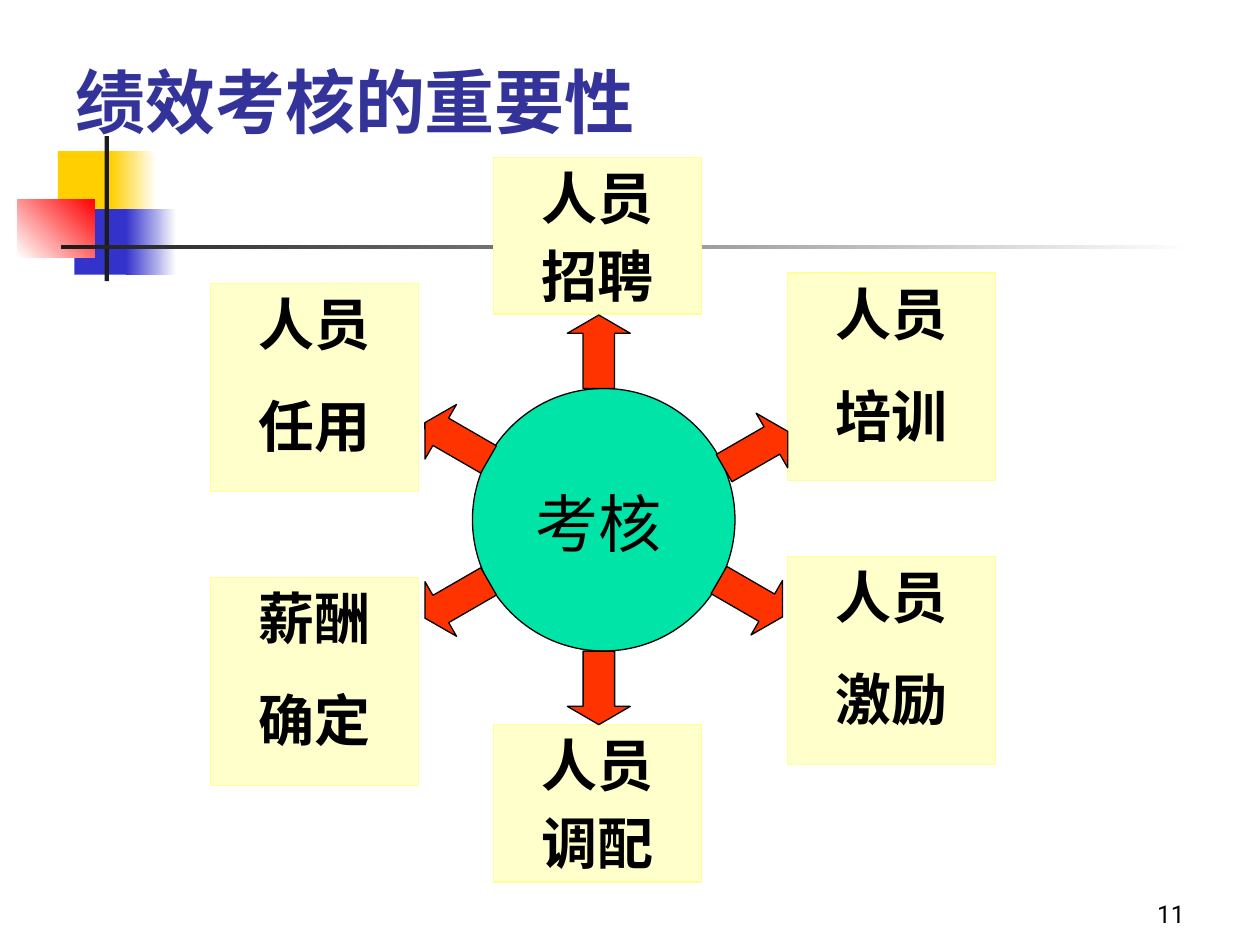
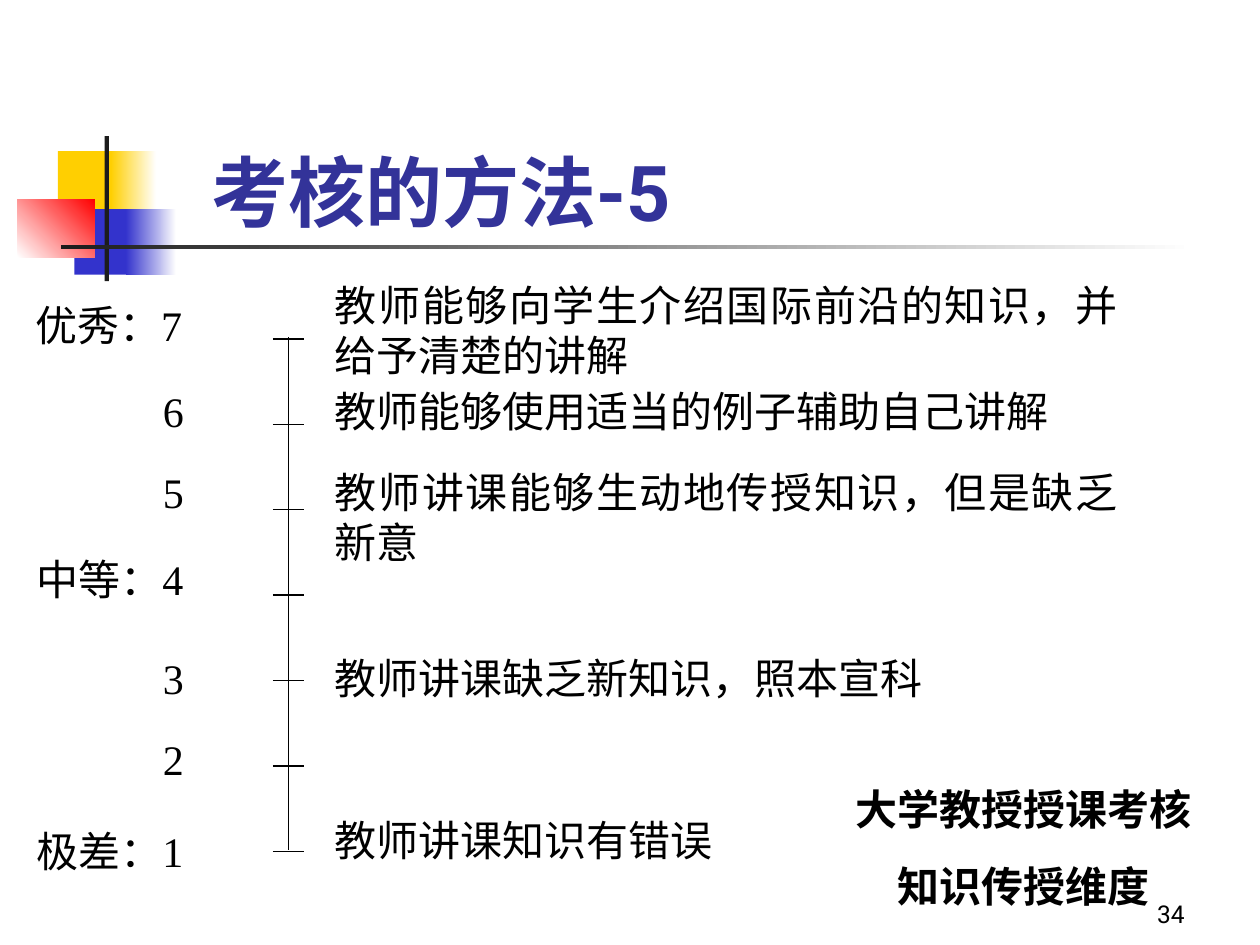
from lxml import etree
from pptx import Presentation
from pptx.dml.color import RGBColor
from pptx.enum import shapes, text
from pptx.oxml import ns
from pptx.util import Pt

WHITE = RGBColor(0xFF, 0xFF, 0xFF)
BLACK = RGBColor(0x00, 0x00, 0x00)
CHARCOAL = RGBColor(0x1C, 0x1C, 0x1C)
YELLOW = RGBColor(0xFF, 0xCF, 0x01)
BLUE = RGBColor(0x33, 0x33, 0xCC)
RED = RGBColor(0xFF, 0x00, 0x00)
TITLE_BLUE = RGBColor(0x33, 0x33, 0x99)
CREAM = RGBColor(0xFF, 0xFF, 0xCC)
CREAM_EDGE = RGBColor(0xFF, 0xFF, 0x99)
ARROW_RED = RGBColor(0xFF, 0x33, 0x00)
GREEN = RGBColor(0x00, 0xE4, 0xA8)

SERIF = "Times New Roman"
SANS = "Roboto"
LINE_WIDTH = 0.75

SHAPE = shapes.MSO_SHAPE
ALIGN = text.PP_ALIGN
ANCHOR = text.MSO_ANCHOR

MASTER_BLOCKS = [
    (33.1, 86.4, 34.6, 37.4, YELLOW, None, 0),
    (63.4, 86.4, 25.9, 37.4, YELLOW, WHITE, 0),
    (42.5, 119.5, 33.1, 37.4, BLUE, None, 0),
    (72, 119.5, 28.8, 37.4, BLUE, WHITE, 0),
    (10, 113.8, 44.2, 33.1, WHITE, RED, 45),
    (59.8, 77.8, 2.5, 82.8, CHARCOAL, None, 0),
    (34.6, 140, 648, 2.5, CHARCOAL, WHITE, 0),
]

TOPICS = [
    (["人员", "任用"], 120.2, 162, 118.8, 20),
    (["人员", "培训"], 450, 156, 118.8, 20),
    (["薪酬", "确定"], 120.2, 330, 118.8, 20),
    (["人员", "激励"], 450, 318, 118.8, 20),
    (["人员", "调配"], 282, 414, 90, 6),
    (["人员", "招聘"], 282, 90, 89.5, 6),
]

ARROWS = [
    (411, 239, 330),
    (408, 324, 30),
    (240, 324.7, 150),
    (240, 234, 210),
    (321.2, 375.1, 90),
    (321.2, 183, 270),
]

GRADES = [
    ("优秀：7", 13, 167.8),
    ("6", 86, 216.7),
    ("5", 86, 262.8),
    ("中等：4", 13.7, 312.5),
    ("3", 86, 369.4),
    ("2", 86, 415.4),
    ("极差：1", 13.7, 468),
]

DESCRIPTIONS = [
    ("教师能够向学生介绍国际前沿的知识，并给予清楚的讲解", 156.2),
    ("教师能够使用适当的例子辅助自己讲解", 216.7),
    ("教师讲课能够生动地传授知识，但是缺乏新意", 262.8),
    ("教师讲课缺乏新知识，照本宣科", 369.4),
    ("教师讲课知识有错误", 462.2),
]


def write(shape, lines, size, font=SERIF, color=BLACK, bold=False,
          align=ALIGN.LEFT, anchor=ANCHOR.TOP, gap=0):
    frame = shape.text_frame
    frame.word_wrap = True
    frame.vertical_anchor = anchor
    frame.text = "\n".join(lines)
    for index, para in enumerate(frame.paragraphs):
        para.alignment = align
        para.space_before = Pt(gap if index else 0)
        for span in para.runs:
            span.font.name = font
            span.font.size = Pt(size)
            span.font.bold = bold
            span.font.color.rgb = color


def add_text(page, lines, left, top, width, height, size, **style):
    box = page.shapes.add_textbox(Pt(left), Pt(top), Pt(width), Pt(height))
    write(box, lines, size, **style)


def add_block(page, kind, left, top, width, height, fill, edge=None):
    block = page.shapes.add_shape(kind, Pt(left), Pt(top), Pt(width), Pt(height))
    block.shadow.inherit = False
    block.fill.solid()
    block.fill.fore_color.rgb = fill
    if edge is None:
        block.line.fill.background()
    else:
        block.line.color.rgb = edge
        block.line.width = Pt(LINE_WIDTH)
    return block


def fade(block, start, end, angle):
    block.fill.gradient()
    block.fill.gradient_angle = angle
    for stop, color in zip(block.fill.gradient_stops, (start, end)):
        stop.color.rgb = color


def add_line(page, x1, y1, x2, y2):
    line = page.shapes.add_connector(
        shapes.MSO_CONNECTOR.STRAIGHT, Pt(x1), Pt(y1), Pt(x2), Pt(y2))
    line.line.color.rgb = BLACK
    line.line.width = Pt(LINE_WIDTH)
    etree.SubElement(line._element.spPr, ns.qn("a:effectLst"))


def add_page(deck, number):
    page = deck.slides.add_slide(deck.slide_layouts[6])
    for left, top, width, height, start, end, angle in MASTER_BLOCKS:
        block = add_block(page, SHAPE.RECTANGLE, left, top, width, height, start)
        if end is not None:
            fade(block, start, end, angle)
    add_text(page, [number], 534.2, 498.2, 149.8, 36, 14, font=SANS,
             align=ALIGN.RIGHT, anchor=ANCHOR.BOTTOM)
    return page


def add_title(page, title, left, top, width, height, size, **style):
    add_text(page, [title], left, top, width, height, size,
             color=TITLE_BLUE, bold=True, **style)


def add_topic(page, lines, left, top, height, gap):
    topic = add_block(page, SHAPE.RECTANGLE, left, top, 118.8, height,
                      CREAM, CREAM_EDGE)
    write(topic, lines, 32, bold=True, align=ALIGN.CENTER, gap=gap)


def add_arrow(page, left, top, rotation):
    arrow = add_block(page, SHAPE.RIGHT_ARROW, left, top, 42, 36, ARROW_RED, BLACK)
    arrow.adjustments[0] = 0.5
    arrow.adjustments[1] = 0.29
    arrow.rotation = rotation


def add_scale(page, left, top, step, count):
    middle = left + 9
    add_line(page, middle, top - 1, middle, top + step * (count - 1) - 1)
    for index in range(count):
        y = top + step * index
        add_line(page, left, y, left + 18, y)


def build_importance(deck):
    page = add_page(deck, "11")
    add_block(page, SHAPE.OVAL, 270, 222, 150, 150, GREEN, BLACK)
    add_text(page, ["考核"], 282, 273.6, 120, 50.4, 36, align=ALIGN.CENTER)
    for topic in TOPICS:
        add_topic(page, *topic)
    for arrow in ARROWS:
        add_arrow(page, *arrow)
    add_title(page, "绩效考核的重要性", 36, 30, 366, 55.4, 40)


def build_methods(deck):
    page = add_page(deck, "34")
    add_title(page, "考核的方法-5", 113.8, 30, 590.4, 108.7, 44,
              font=SANS, anchor=ANCHOR.BOTTOM)
    add_scale(page, 156, 193.7, 48.8, 7)
    for grade, left, top in GRADES:
        add_text(page, [grade], left, top, 140 - left, 46.8, 24)
    for description, top in DESCRIPTIONS:
        add_text(page, [description], 184.3, top, 461.5, 59.8, 24,
                 align=ALIGN.JUSTIFY)
    add_text(page, ["大学教授授课考核", "知识传授维度"], 450, 444.2, 270, 80, 24,
             font=SANS, bold=True, align=ALIGN.CENTER, gap=15)


def main():
    deck = Presentation()
    deck.slide_width = Pt(720)
    deck.slide_height = Pt(540)
    build_importance(deck)
    build_methods(deck)
    deck.save("out.pptx")


if __name__ == "__main__":
    main()
